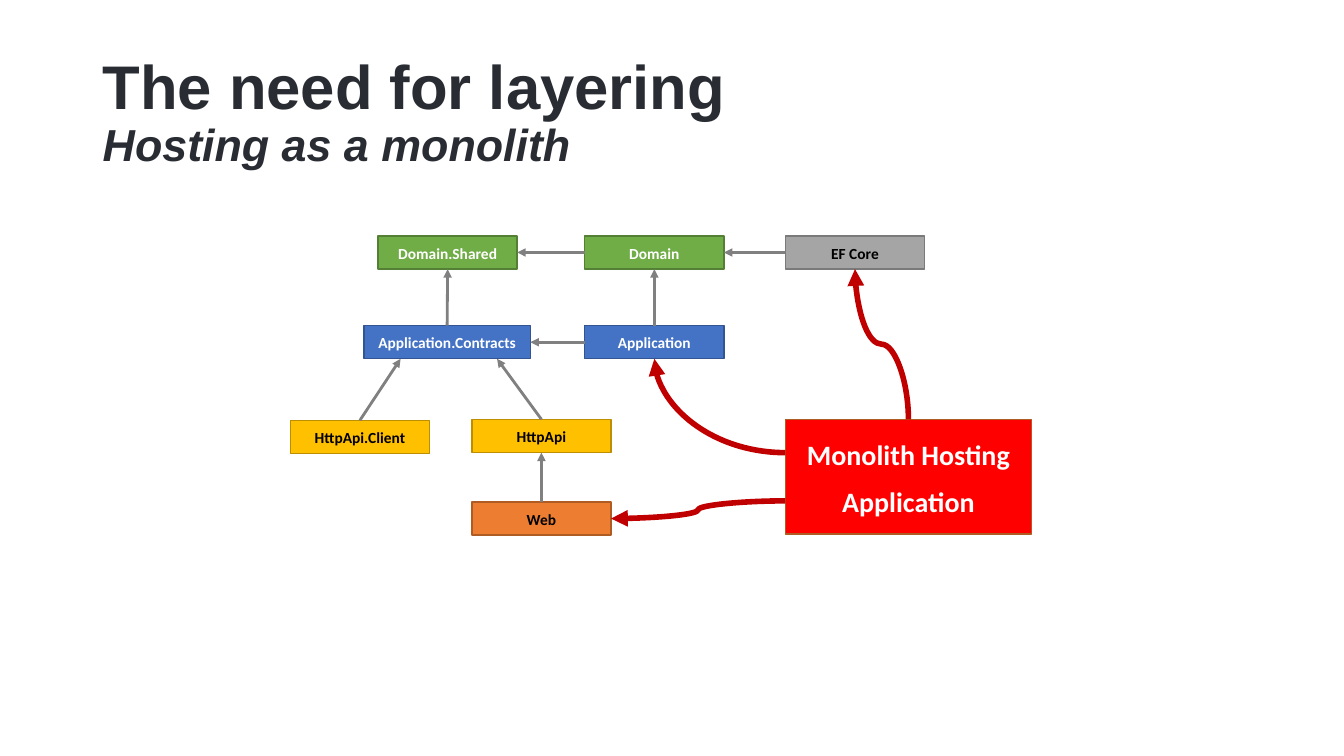
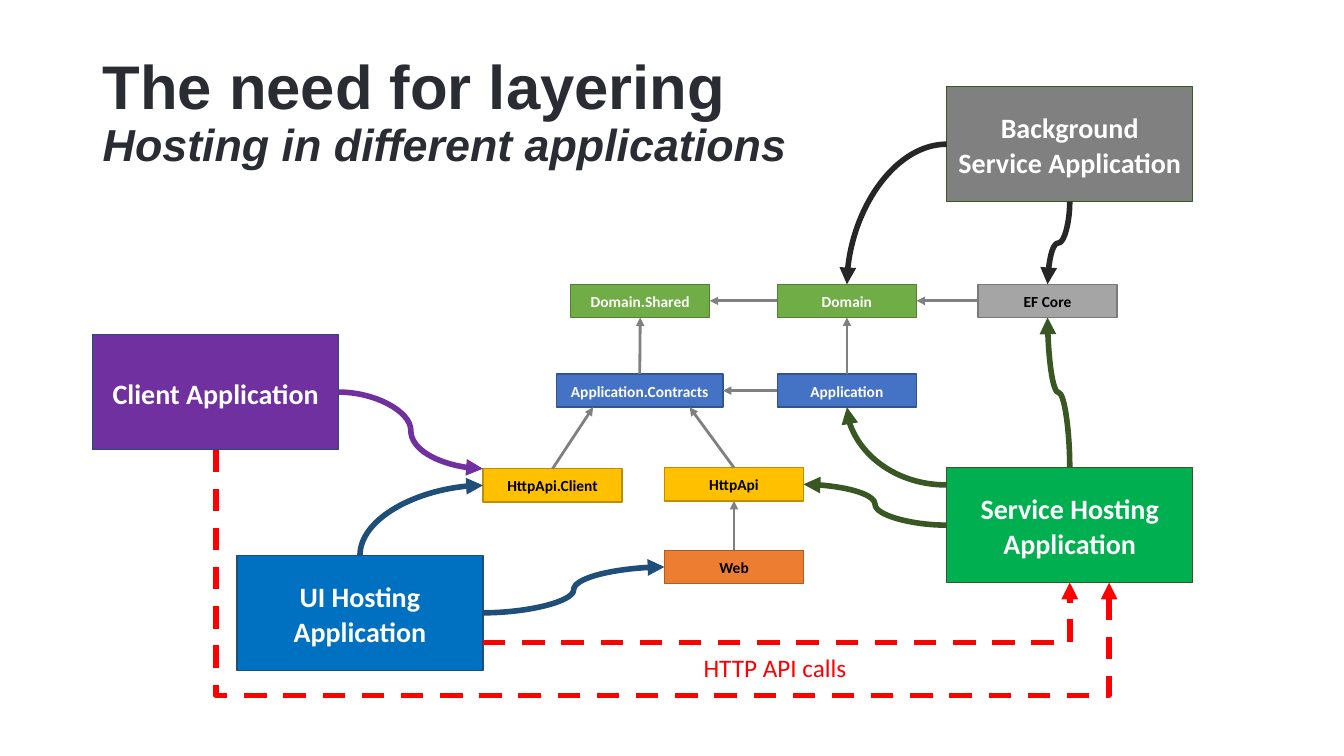
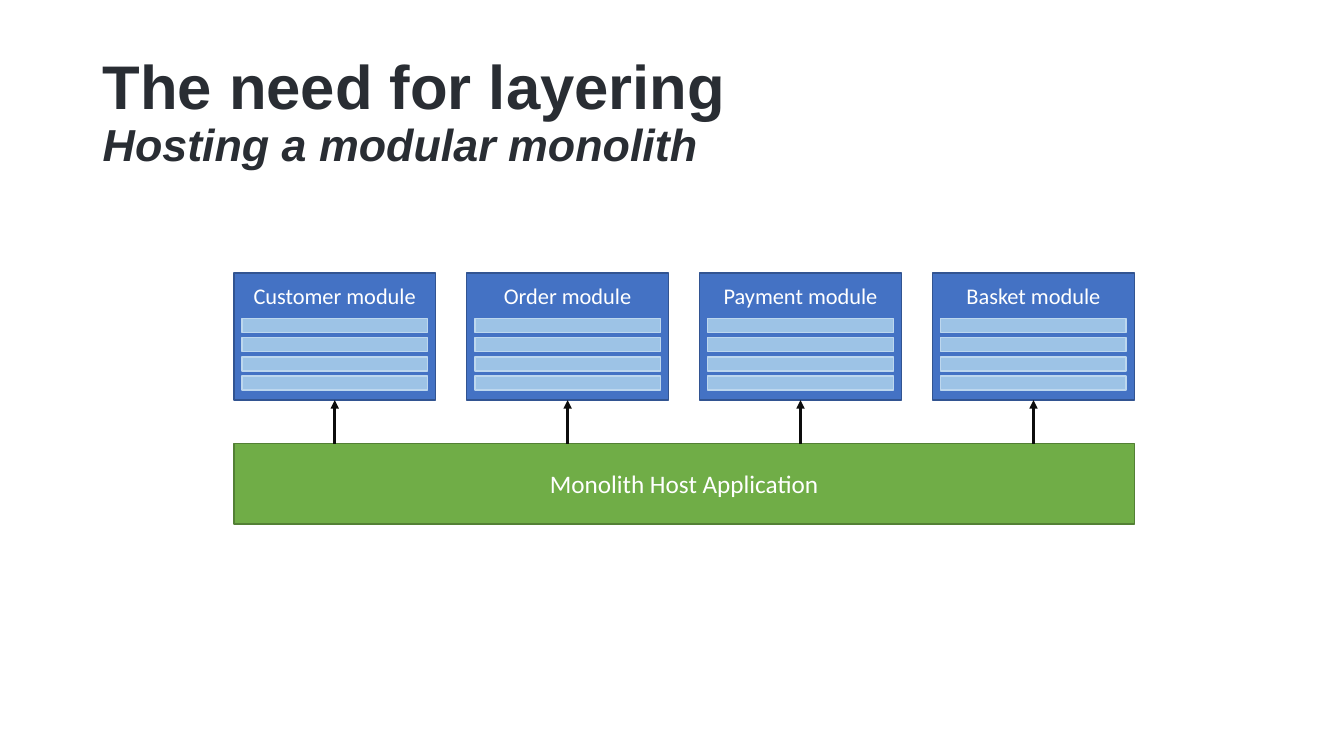
from lxml import etree
from pptx import Presentation
from pptx import util as u
from pptx.dml.color import RGBColor
from pptx.enum import dml, shapes, text
from pptx.oxml.ns import qn

COLOURS = {
    "title": "292D33", "white": "FFFFFF", "black": "000000", "link": "808080",
    "green": "70AD47", "green_edge": "538035", "grey": "A5A5A5", "grey_edge": "7A7A7A",
    "blue": "4472C4", "blue_edge": "325491", "amber": "FFC000", "amber_edge": "BD8E00",
    "orange": "ED7D31", "orange_edge": "AF5C24", "red": "FF0000", "crimson": "C00000",
    "azure": "0070C0", "navy": "1F4E79", "emerald": "00B050", "forest": "385723",
    "purple": "7030A0", "slate": "808080", "charcoal": "262626", "ink": "0D0D0D",
    "bar": "9DC3E6", "bar_edge": "BDD7EE",
}
TITLE = "The need for layering"
LAYER_SIZE = (1.38, 0.33)
HOST_SIZE = (2.44, 1.14)
LAYER_FONT = {"size": 11, "bold": True}
HOST_FONT = {"size": 20, "bold": True, "color": "white"}
LABEL_FONT = {"size": 18, "color": "red"}
MODULE_FONT = {"size": 16, "color": "white"}
PLATFORM_FONT = {"size": 18, "color": "white"}
PACKED = {"line_spacing": 1.05, "space_after": u.Pt(8)}

LAYERS = {
    "Domain.Shared": (3.75, 2.34, 1.38, "green", "white"),
    "Domain": (5.8, 2.34, 1.38, "green", "white"),
    "EF Core": (7.79, 2.34, 1.38, "grey", "black"),
    "Application.Contracts": (3.61, 3.23, 1.65, "blue", "white"),
    "Application": (5.8, 3.23, 1.38, "blue", "white"),
    "HttpApi": (4.68, 4.16, 1.38, "amber", "black"),
    "HttpApi.Client": (2.88, 4.17, 1.38, "amber", "black"),
    "Web": (4.68, 4.98, 1.38, "orange", "black"),
}
LEFT, RIGHT, TOP, BOTTOM = (0, 0.5), (1, 0.5), (0.5, 0), (0.5, 1)
LAYER_LINKS = [
    ("EF Core", LEFT, "Domain", RIGHT),
    ("Domain", LEFT, "Domain.Shared", RIGHT),
    ("Application.Contracts", TOP, "Domain.Shared", BOTTOM),
    ("Application", LEFT, "Application.Contracts", RIGHT),
    ("Application", TOP, "Domain", BOTTOM),
    ("HttpApi", TOP, "Application.Contracts", (0.8, 1)),
    ("HttpApi.Client", TOP, "Application.Contracts", (0.22, 1)),
    ("Web", TOP, "HttpApi", BOTTOM),
]
CURVE, ARC = "curvedConnector3", "curvedConnector2"
ELBOW, CORNER = "bentConnector3", "bentConnector2"
HOSTING = [
    {
        "subtitle": "Hosting as a monolith",
        "shift": (0, 0),
        "hosts": {"Monolith Hosting\nApplication": (7.79, 4.16, "red", "orange_edge")},
        "links": [
            ("Monolith Hosting\nApplication", (0, 0.71), "Web", RIGHT, "crimson", CURVE),
            ("Monolith Hosting\nApplication", (0, 0.29), "Application", BOTTOM, "crimson", ARC),
            ("Monolith Hosting\nApplication", TOP, "EF Core", BOTTOM, "crimson", CURVE),
        ],
        "labels": [],
    },
    {
        "subtitle": "Hosting in different applications",
        "shift": (1.91, 0.48),
        "hosts": {
            "UI Hosting Application": (2.35, 5.51, "azure", "navy"),
            "Service Hosting Application": (9.39, 4.64, "emerald", "forest"),
            "Client Application": (0.92, 3.32, "purple", "navy"),
            "Background Service Application": (9.39, 0.86, "slate", "forest"),
        },
        "links": [
            ("UI Hosting Application", TOP, "HttpApi.Client", LEFT, "navy", ARC),
            ("UI Hosting Application", RIGHT, "Web", LEFT, "navy", CURVE),
            ("Service Hosting Application", LEFT, "HttpApi", RIGHT, "forest", CURVE),
            ("Service Hosting Application", (0, 0.15), "Application", BOTTOM, "forest", ARC),
            ("Service Hosting Application", TOP, "EF Core", BOTTOM, "forest", CURVE),
            ("UI Hosting Application", (1, 0.76), "Service Hosting Application", BOTTOM, "red", CORNER),
            ("Client Application", RIGHT, "HttpApi.Client", (0, 0), "purple", CURVE),
            ("Client Application", BOTTOM, "Service Hosting Application", (0.66, 1), "red", ELBOW),
            ("Background Service Application", BOTTOM, "EF Core", TOP, "charcoal", CURVE),
            ("Background Service Application", LEFT, "Domain", TOP, "charcoal", ARC),
        ],
        "labels": [("HTTP API calls", (6.88, 6.42, 1.63, 0.4))],
    },
]
ELBOW_BEND = 184700
MODULES = ["Customer module", "Order module", "Payment module", "Basket module"]
MODULE_LEFT, MODULE_TOP, MODULE_PITCH = 2.32, 2.71, 2.31
MODULE_SIZE = (2, 1.26)
BAR_COUNT, BAR_TOP, BAR_PITCH = 4, 3.16, 0.19
BAR_INSET, BAR_SIZE = 0.08, (1.84, 0.14)
PLATFORM = (2.32, 4.4, 8.93, 0.8)


def colour(name):
    return RGBColor.from_string(COLOURS[name])


def inches(values):
    return [u.Inches(value) for value in values]


def style_font(font, formats):
    values = {"name": "Calibri", "color": "black", **formats}
    font.color.rgb = colour(values.pop("color"))
    values["size"] = u.Pt(values["size"])
    for key, value in values.items():
        setattr(font, key, value)


def write(shape, words, formats, spacing=None, wrap=True, align=text.PP_ALIGN.CENTER):
    frame = shape.text_frame
    frame.word_wrap = wrap
    frame.text = words
    for para in frame.paragraphs:
        for key, value in {"alignment": align, **(spacing or {})}.items():
            setattr(para, key, value)
        for span in para.runs:
            style_font(span.font, formats)


def add_box(page, area, fill, edge):
    box = page.shapes.add_shape(shapes.MSO_SHAPE.RECTANGLE, *inches(area))
    box.shadow.inherit = False
    box.fill.solid()
    box.fill.fore_color.rgb = colour(fill)
    box.line.color.rgb = colour(edge)
    box.line.width = u.Pt(1)
    box.text_frame.vertical_anchor = text.MSO_ANCHOR.MIDDLE
    return box


def add_title(page, subtitle):
    box = page.shapes.add_textbox(*inches((0.92, 0.4, 11.5, 1.45)))
    frame = box.text_frame
    frame.word_wrap = True
    frame.vertical_anchor = text.MSO_ANCHOR.MIDDLE
    para = frame.paragraphs[0]
    para.line_spacing = 0.9
    for words, formats in [(TITLE, {"size": 44}), (subtitle, {"size": 32, "italic": True})]:
        if para.runs:
            para.add_line_break()
        span = para.add_run()
        span.text = words
        style_font(span.font, {"name": "Arial", "bold": True, "color": "title", **formats})


def add_arrow(page, start, end, shade, width):
    arrow = page.shapes.add_connector(shapes.MSO_CONNECTOR.STRAIGHT, *inches((*start, *end)))
    arrow.line.color.rgb = colour(shade)
    arrow.line.width = u.Pt(width)
    etree.SubElement(arrow.line._get_or_add_ln(), qn("a:tailEnd"), type="triangle")
    etree.SubElement(arrow._element.spPr, qn("a:effectLst"))
    return arrow


def add_route(page, start, end, side, shade, preset):
    dx, dy = end[0] - start[0], end[1] - start[1]
    turn, along, across = {
        0: (0, dx, dy), 90: (90, dy, -dx), 180: (180, -dx, -dy), 270: (270, -dy, dx),
    }[heading(side)]
    middle_x, middle_y = (start[0] + end[0]) / 2, (start[1] + end[1]) / 2
    arrow = add_arrow(page, (middle_x - along / 2, middle_y - across / 2),
                      (middle_x + along / 2, middle_y + across / 2), shade, 4)
    arrow.rotation = turn
    outline = arrow._element.spPr.find(qn("a:prstGeom"))
    outline.set("prst", preset)
    if preset in (ELBOW, CORNER):
        arrow.line.dash_style = dml.MSO_LINE.DASH
    if preset == ELBOW:
        etree.SubElement(outline.find(qn("a:avLst")), qn("a:gd"), name="adj1", fmla=f"val {ELBOW_BEND}")


def heading(side):
    across, down = side
    if across in (0, 1):
        return 180 if across == 0 else 0
    return 270 if down == 0 else 90


def anchor(area, side):
    left, top, width, height = area
    return left + width * side[0], top + height * side[1]


def build_hosting(page, content):
    add_title(page, content["subtitle"])
    areas = {}
    shift_x, shift_y = content["shift"]
    for name, (left, top, width, fill, ink) in LAYERS.items():
        areas[name] = (left + shift_x, top + shift_y, width, LAYER_SIZE[1])
        box = add_box(page, areas[name], fill, fill + "_edge")
        write(box, name, {**LAYER_FONT, "color": ink}, PACKED)
    for source, source_side, target, target_side in LAYER_LINKS:
        add_arrow(page, anchor(areas[source], source_side), anchor(areas[target], target_side), "link", 2)
    for name, (left, top, fill, edge) in content["hosts"].items():
        areas[name] = (left, top, *HOST_SIZE)
        write(add_box(page, areas[name], fill, edge), name, HOST_FONT, PACKED)
    for source, source_side, target, target_side, shade, preset in content["links"]:
        add_route(page, anchor(areas[source], source_side), anchor(areas[target], target_side),
                  source_side, shade, preset)
    for words, area in content["labels"]:
        box = page.shapes.add_textbox(*inches(area))
        write(box, words, LABEL_FONT, wrap=False, align=text.PP_ALIGN.LEFT)


def build_modules(page):
    add_title(page, "Hosting a modular monolith")
    write(add_box(page, PLATFORM, "green", "green_edge"), "Monolith Host Application", PLATFORM_FONT)
    for column, name in enumerate(MODULES):
        left = MODULE_LEFT + column * MODULE_PITCH
        area = (left, MODULE_TOP, *MODULE_SIZE)
        add_box(page, area, "blue", "blue_edge")
        for row in range(BAR_COUNT):
            add_box(page, (left + BAR_INSET, BAR_TOP + row * BAR_PITCH, *BAR_SIZE), "bar", "bar_edge")
        label = page.shapes.add_textbox(*inches((left + BAR_INSET, 2.75, BAR_SIZE[0], 0.37)))
        write(label, name, MODULE_FONT)
        foot = anchor(area, BOTTOM)
        add_arrow(page, (foot[0], PLATFORM[1]), foot, "ink", 2)


def main():
    deck = Presentation()
    deck.slide_width, deck.slide_height = inches((13.33, 7.5))
    blank = deck.slide_layouts[6]
    for content in HOSTING:
        build_hosting(deck.slides.add_slide(blank), content)
    build_modules(deck.slides.add_slide(blank))
    deck.save("out.pptx")


if __name__ == "__main__":
    main()
